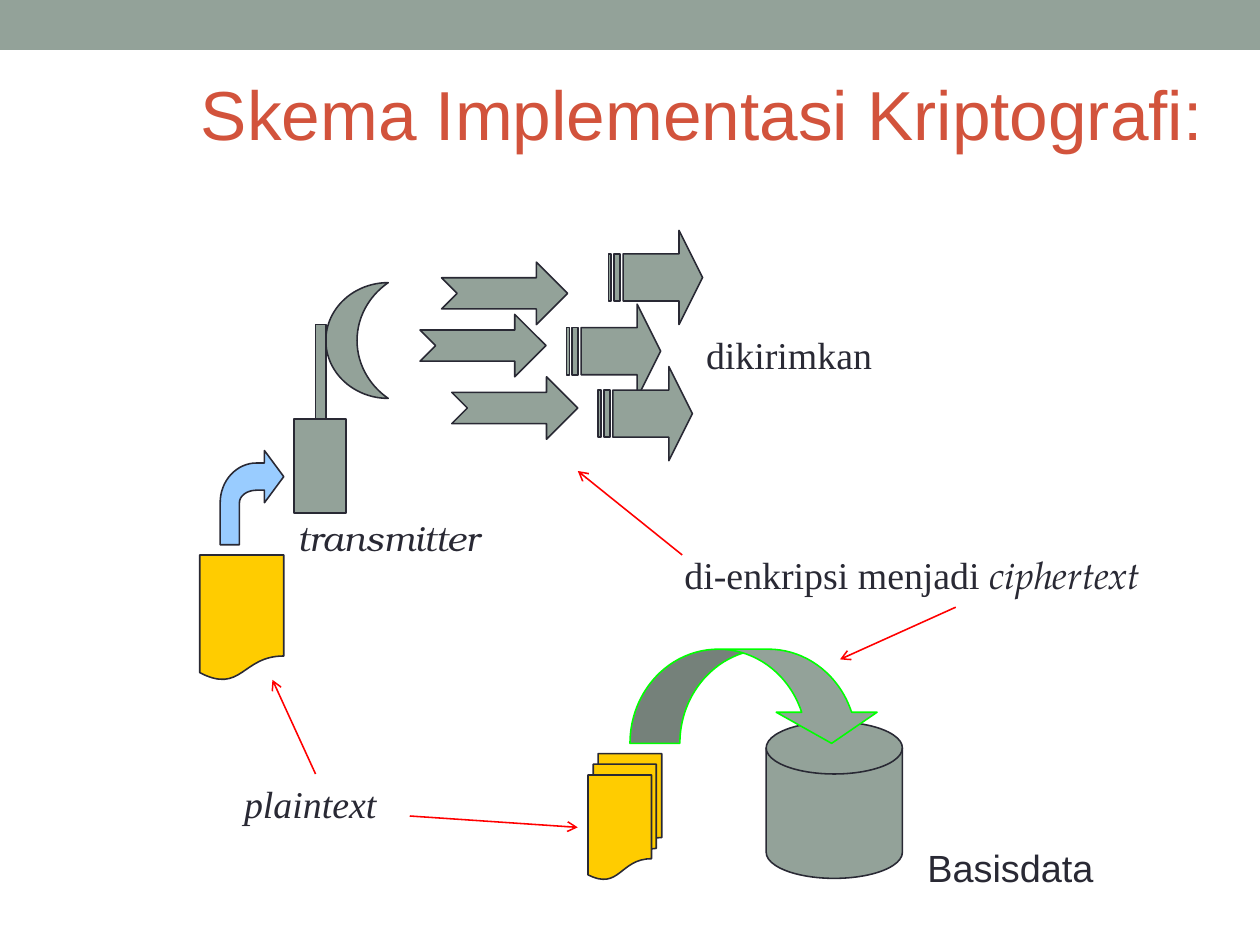
from math import cos, pi, sin

from lxml.etree import SubElement
from pptx import Presentation
from pptx.dml.color import RGBColor
from pptx.enum.shapes import MSO_CONNECTOR, MSO_SHAPE
from pptx.enum.text import MSO_ANCHOR, MSO_AUTO_SIZE
from pptx.oxml.ns import qn
from pptx.util import Pt

PX = 9144
SAGE = "93A299"
INK = "292934"
PAPER = "FFCC00"
SKY = "99CCFF"
SERIF = "Times New Roman"


def color(value):
    return RGBColor.from_string(value)


def place(box, x, y):
    return (box[0] + x) * PX, (box[1] + y) * PX


def paint(shape, fill, outline):
    shape.shadow.inherit = False
    shape.fill.solid()
    shape.fill.fore_color.rgb = color(fill)
    if outline:
        shape.line.color.rgb = color(outline)
        shape.line.width = Pt(1)
    else:
        shape.line.fill.background()


def add_part(slide, box, preset, x, y, width, height,
             fill=SAGE, outline=INK, adjustments=()):
    part = slide.shapes.add_shape(
        preset, *place(box, x, y), width * PX, height * PX)
    for index, value in enumerate(adjustments):
        part.adjustments[index] = value
    paint(part, fill, outline)


def add_label(slide, box, x, y, width, height, pieces, size=24,
              ink=INK, italic=None):
    label = slide.shapes.add_textbox(
        *place(box, x, y), width * PX, height * PX)
    frame = label.text_frame
    frame.word_wrap = False
    frame.margin_left = frame.margin_right = 11 * PX
    frame.margin_top = frame.margin_bottom = 6 * PX
    paragraph = frame.paragraphs[0]
    paragraph.font.size = Pt(size)
    paragraph.font.color.rgb = color(ink)
    paragraph.font.italic = italic
    if len(pieces) == 1:
        paragraph.font.name = pieces[0][1]
    for wording, typeface, *slant in pieces:
        run = paragraph.add_run()
        run.text = wording
        if len(pieces) > 1:
            run.font.name = typeface
        if slant:
            run.font.italic = slant[0]
    frame.auto_size = MSO_AUTO_SIZE.SHAPE_TO_FIT_TEXT
    return frame


def add_pointer(slide, box, start, end):
    pointer = slide.shapes.add_connector(
        MSO_CONNECTOR.STRAIGHT, *place(box, *start), *place(box, *end))
    pointer.line.color.rgb = color("FF0000")
    pointer.line.width = Pt(1)
    SubElement(pointer.line._get_or_add_ln(), qn("a:tailEnd"), type="arrow")
    SubElement(pointer._element.spPr, qn("a:effectLst"))


def quarter_arc(center_x, center_y, radius_x, radius_y):
    steps = 16
    angles = [pi / 2 * step / steps for step in range(steps + 1)]
    return [(center_x - radius_x * sin(angle), center_y - radius_y * cos(angle))
            for angle in angles]


def add_bent_arrow(slide, box, x, y):
    outer_bend = quarter_arc(32, 46, 32, 35)
    inner_bend = quarter_arc(32, 46, 15, 11)[::-1]
    outline = [(56, 23), (39, 0), (39, 11), *outer_bend, (0, 83), (17, 83),
               *inner_bend, (39, 35), (39, 46)]
    points = [(round(px * PX), round(py * PX)) for px, py in outline]
    builder = slide.shapes.build_freeform(*points[0])
    builder.add_line_segments(points[1:], close=True)
    paint(builder.convert_to_shape(*place(box, x, y)), SKY, INK)


def draw_header(slide, box):
    add_part(slide, box, MSO_SHAPE.RECTANGLE, 0, 0, box[2], 44, outline=None)
    title = add_label(slide, box, 166, 56, 916, 86,
                      [("Skema Implementasi Kriptografi:", "Arial")],
                      size=44, ink="D2533C")
    title.auto_size = MSO_AUTO_SIZE.NONE
    title.word_wrap = True
    title.vertical_anchor = MSO_ANCHOR.MIDDLE


def draw_database(slide, box):
    add_part(slide, box, MSO_SHAPE.FLOWCHART_MAGNETIC_DISK, 157, 64, 120, 138)
    add_part(slide, box, MSO_SHAPE.CURVED_DOWN_ARROW, 37, 0, 222, 83,
             outline="00FF00", adjustments=(0.53, 1.07, 0.33))
    add_part(slide, box, MSO_SHAPE.FLOWCHART_MULTIDOCUMENT, 0, 92, 65, 111,
             fill=PAPER)
    add_label(slide, box, 288, 166, 169, 51, [("Basisdata", "Arial")])


def draw_transmission(slide, box):
    add_part(slide, box, MSO_SHAPE.FLOWCHART_DOCUMENT, 0, 286, 74, 111,
             fill=PAPER)
    add_part(slide, box, MSO_SHAPE.MOON, 111, 46, 55, 102)
    add_part(slide, box, MSO_SHAPE.FLOWCHART_PROCESS, 83, 166, 46, 83)
    add_part(slide, box, MSO_SHAPE.FLOWCHART_PROCESS, 102, 83, 9, 83)
    add_bent_arrow(slide, box, 18, 194)
    for x, y in ((194, 74), (222, 129), (213, 28)):
        add_part(slide, box, MSO_SHAPE.NOTCHED_RIGHT_ARROW, x, y, 111, 55)
    for x, y in ((323, 65), (351, 120), (360, 0)):
        add_part(slide, box, MSO_SHAPE.STRIPED_RIGHT_ARROW, x, y, 83, 83,
                 adjustments=(0.5, 0.25))
    add_label(slide, box, 435, 83, 169, 51, [("dikirimkan", SERIF)])
    add_label(slide, box, 75, 246, 184, 48,
              [("transmitter", "TeX Gyre Bonum")], size=22, italic=True)


def draw_plaintext(slide, box):
    add_label(slide, box, 0, 83, 139, 51, [("plaintext", SERIF)], italic=True)
    add_pointer(slide, box, (74, 83), (36, 0))
    add_pointer(slide, box, (157, 120), (305, 130))


def draw_ciphertext(slide, box):
    add_label(slide, box, 83, 65, 448, 51,
              [("di-enkripsi menjadi ", SERIF),
               ("ciphertext", "TeX Gyre Pagella", True)])
    add_pointer(slide, box, (92, 74), (0, 0))
    add_pointer(slide, box, (333, 120), (231, 166))


def main():
    deck = Presentation()
    deck.slide_width = 1110 * PX
    deck.slide_height = 830 * PX
    slide = deck.slides.add_slide(deck.slide_layouts[6])
    draw_header(slide, (0, 0, 1110, 142))
    draw_database(slide, (518, 572, 457, 217))
    draw_transmission(slide, (176, 203, 604, 397))
    draw_plaintext(slide, (204, 599, 305, 134))
    draw_ciphertext(slide, (509, 415, 531, 166))
    deck.save("out.pptx")


if __name__ == "__main__":
    main()
